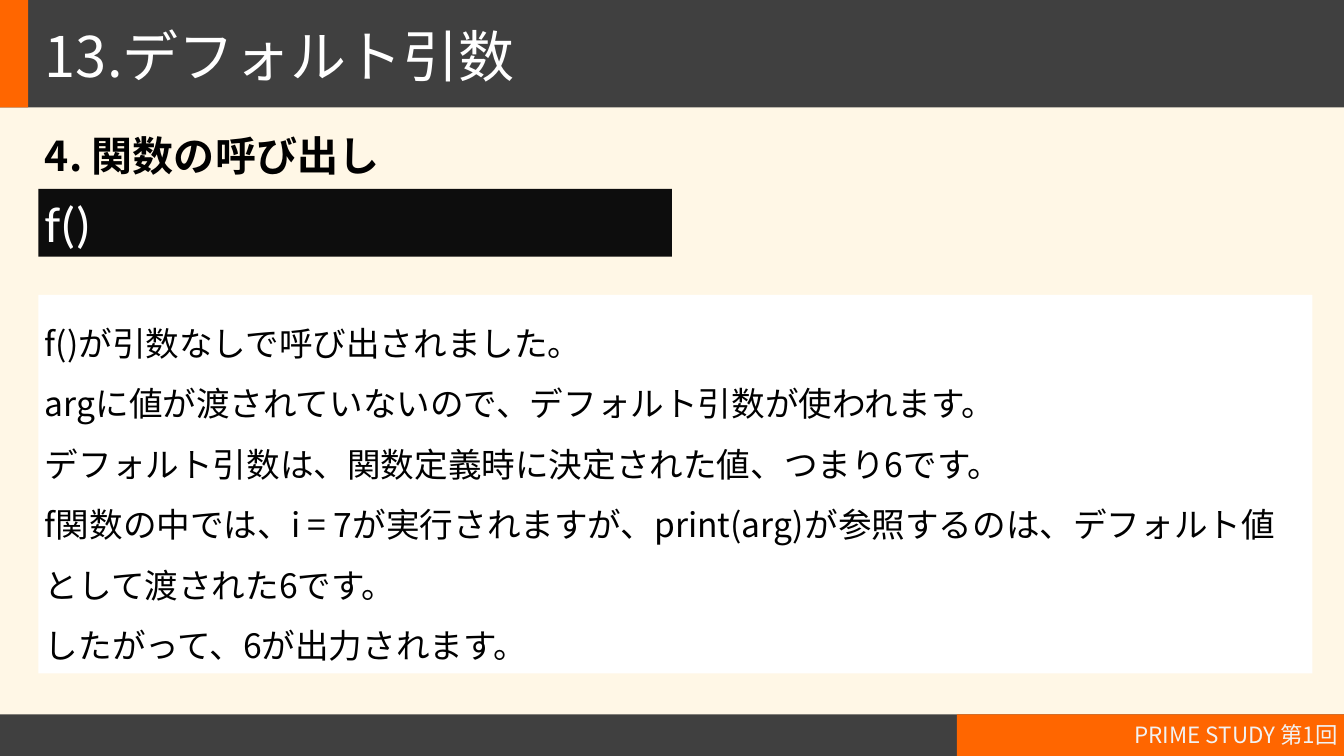
from dataclasses import dataclass

from lxml.etree import SubElement
from pptx import Presentation
from pptx.dml.color import RGBColor
from pptx.enum.shapes import MSO_SHAPE
from pptx.enum.text import MSO_ANCHOR, PP_ALIGN
from pptx.oxml.ns import qn
from pptx.slide import Slide
from pptx.util import Inches, Pt

JAPANESE_FONT = "Noto Sans CJK JP"
DARK = "404040"
ORANGE = "FF6600"
WHITE = "FFFFFF"
BLACK = "000000"


@dataclass(frozen=True)
class Box:
    left: float
    top: float
    width: float
    height: float
    fill: str | None = None


@dataclass(frozen=True)
class Text:
    lines: tuple[str, ...]
    size: int
    color: str
    font: str = JAPANESE_FONT
    bold: bool = False
    spacing: float = 1.0
    align: PP_ALIGN = PP_ALIGN.LEFT
    anchor: MSO_ANCHOR = MSO_ANCHOR.TOP


BARS = (
    Box(0, 10.63, 20, 0.62, DARK),
    Box(14.24, 10.63, 5.76, 0.62, ORANGE),
    Box(0, 0, 20, 1.6, DARK),
    Box(0, 0, 0.42, 1.6, ORANGE),
)

EXPLANATION = (
    "f()が引数なしで呼び出されました。",
    "argに値が渡されていないので、デフォルト引数が使われます。",
    "デフォルト引数は、関数定義時に決定された値、つまり6です。",
    "f関数の中では、i = 7が実行されますが、print(arg)が参照するのは、デフォルト値として渡された6です。",
    "したがって、6が出力されます。",
)

CONTENT = (
    (Box(0.57, 0.38, 19.3, 0.84),
     Text(("13.デフォルト引数",), 60, WHITE, spacing=0.9)),
    (Box(13.25, 10.63, 6.75, 0.6),
     Text(("PRIME STUDY 第1回",), 24, "F2F2F2",
          align=PP_ALIGN.RIGHT, anchor=MSO_ANCHOR.MIDDLE)),
    (Box(0.57, 1.97, 7.44, 0.84),
     Text(("4. 関数の呼び出し",), 44, BLACK, bold=True, spacing=0.9)),
    (Box(0.57, 2.81, 9.43, 1.01, "0D0D0D"),
     Text(("f()",), 54, WHITE, font="Calibri")),
    (Box(0.57, 4.39, 18.96, 5.63, WHITE),
     Text(EXPLANATION, 36, BLACK, spacing=1.5, anchor=MSO_ANCHOR.MIDDLE)),
)


def color_of(value: str) -> RGBColor:
    return RGBColor.from_string(value)


def draw_box(slide: Slide, box: Box, text: Text | None = None) -> None:
    place = [Inches(n) for n in (box.left, box.top, box.width, box.height)]
    if box.fill is None:
        shape = slide.shapes.add_textbox(*place)
    else:
        shape = slide.shapes.add_shape(MSO_SHAPE.RECTANGLE, *place)
        shape.shadow.inherit = False
        shape.fill.solid()
        shape.fill.fore_color.rgb = color_of(box.fill)
        shape.line.fill.background()
    if text is None:
        return
    frame = shape.text_frame
    frame.word_wrap = True
    frame.vertical_anchor = text.anchor
    for index, line in enumerate(text.lines):
        paragraph = frame.add_paragraph() if index else frame.paragraphs[0]
        paragraph.alignment = text.align
        paragraph.line_spacing = text.spacing
        run = paragraph.add_run()
        run.text = line
        run.font.size = Pt(text.size)
        run.font.bold = text.bold
        run.font.color.rgb = color_of(text.color)
        run.font.name = text.font
        properties = run.font._element
        SubElement(properties, qn("a:ea")).set("typeface", text.font)


def main() -> None:
    presentation = Presentation()
    presentation.slide_width = Inches(20)
    presentation.slide_height = Inches(11.25)
    slide = presentation.slides.add_slide(presentation.slide_layouts[6])
    slide.background.fill.solid()
    slide.background.fill.fore_color.rgb = color_of("FFF7E6")
    for bar in BARS:
        draw_box(slide, bar)
    for box, text in CONTENT:
        draw_box(slide, box, text)
    presentation.save("out.pptx")


if __name__ == "__main__":
    main()
